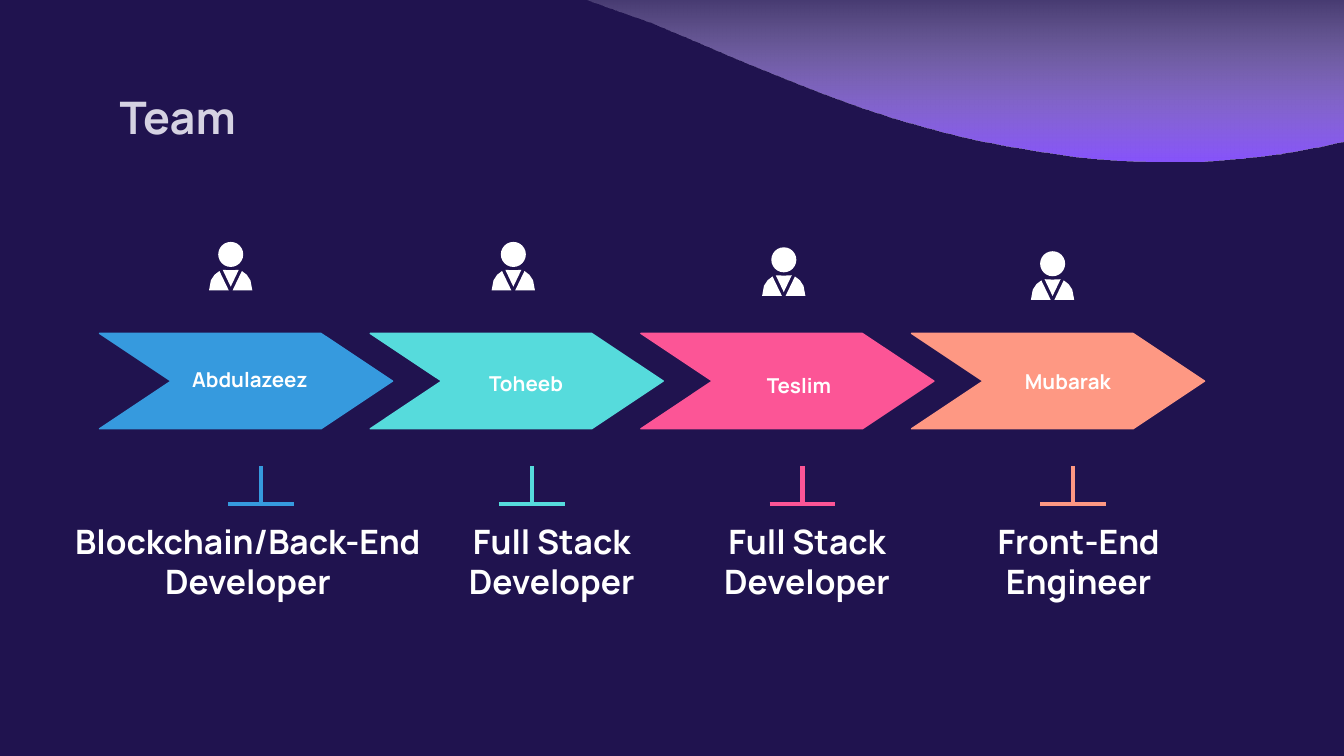
from lxml.etree import SubElement
from pptx import Presentation
from pptx.dml.color import RGBColor
from pptx.enum.shapes import MSO_CONNECTOR as Line, MSO_SHAPE as Shape
from pptx.enum.text import MSO_ANCHOR as Anchor, PP_ALIGN as Align
from pptx.oxml.ns import qn
from pptx.util import Pt


def paint(fill, color):
    fill.solid()
    fill.fore_color.rgb = RGBColor.from_string(color)


def write(box, place, text, size, color, align, anchor):
    """Place a text shape and fill it with one formatted paragraph."""
    box.left, box.top, box.width, box.height = map(Pt, place)
    frame = box.text_frame
    frame.word_wrap = True
    frame.vertical_anchor = anchor
    frame.margin_left = frame.margin_right = Pt(7.2)
    frame.margin_top = frame.margin_bottom = Pt(7.2)
    frame.text = text
    para = frame.paragraphs[0]
    para.alignment = align
    font = para.runs[0].font
    font.name, font.size, font.bold = "Manrope", Pt(size), True
    font.color.rgb = RGBColor.from_string(color)


WHITE = "FFFFFF"

prs = Presentation()
prs.slide_width, prs.slide_height = Pt(720), Pt(405)
slide = prs.slides.add_slide(prs.slide_layouts[5])
shapes = slide.shapes
paint(slide.background.fill, "20134F")

# Wave in the top right corner, fading upwards
crest = [
    (210.2, -20.9), (210.2, -7.9), (245.5, -11.5), (277.9, -8.6),
    (296.6, -4.3), (312.5, -0.7), (330.5, 5.8), (348.5, 12.2),
    (370, 20.9), (398.2, 33.1), (419.8, 41.8), (439.9, 49.7),
    (460, 56.9), (479.5, 63.4), (500.4, 69.1), (520.6, 74.2),
    (540.7, 78), (561.6, 81.5), (582.5, 84.2), (603.4, 85.8),
    (624.2, 86.4), (645.1, 86.1), (666, 84.5), (686.2, 82.1),
    (706.3, 78.6), (726.5, 74.2), (745.9, 68.4), (765.4, 61.2),
    (784.8, 53.6), (803.5, 44.6), (803.5, -20.9),
]
crest = [(Pt(x), Pt(y)) for x, y in crest]
pen = shapes.build_freeform(*crest[0])
pen.add_line_segments(crest[1:])
wave = pen.convert_to_shape()
wave.shadow.inherit = False
wave.line.fill.background()
wave.fill.gradient()
wave.fill.gradient_angle = 270
for stop, color in zip(wave.fill.gradient_stops, (WHITE, "8854FD")):
    stop.color.rgb = RGBColor.from_string(color)
clear = next(wave._element.iter(qn("a:srgbClr")))
SubElement(clear, qn("a:alpha")).set("val", "0")

write(shapes.title, (56.9, 42.5, 606.2, 39.6), "Team", 24, "D5D2E2",
      Align.LEFT, Anchor.MIDDLE)

# Color, name, name box, role, role left and width, icon center and top
team = [
    ("369ADE", "Abdulazeez", (90, 190.1, 87.8, 39.6),
     "Blockchain/Back-End Developer", 23, 219.6, 123.6, 129.6),
    ("56DBDC", "Toheeb", (242.6, 192.2, 78.5, 28.8),
     "Full Stack Developer", 220.3, 150.5, 275, 129.6),
    ("FC5596", "Teslim", (385.2, 193.7, 85.7, 13),
     "Full Stack Developer", 357.1, 150.5, 419.9, 132.5),
    ("FE9883", "Mubarak", (535, 191.5, 74.2, 13),
     "Front-End Engineer", 502.6, 150.5, 563.9, 134.6),
]

# Person outlines, measured from the top center of the head
coat = [(-6, 15.6), (-8.6, 17.6), (-10.6, 20.6), (-11.6, 26), (-1, 26)]
shirt = [(-4.3, 15), (0, 24), (4.3, 15), (0, 15.2)]
body = [coat, [(-x, y) for x, y in coat], shirt]

for i, (color, name, place, role, left, width, mid, top) in enumerate(team):
    start = 53.3 + 145 * i
    arrow = shapes.add_shape(Shape.CHEVRON, Pt(start), Pt(178.6),
                             Pt(157), Pt(51.1))
    arrow.adjustments[0] = 0.75
    arrow.shadow.inherit = False
    paint(arrow.fill, color)
    paint(arrow.line.fill, color)
    arrow.line.width = Pt(0.75)

    stem = start + 86.6
    for ends in ((stem, 249.8, stem, 270),
                 (stem - 17.6, 270, stem + 17.6, 270)):
        bar = shapes.add_connector(Line.STRAIGHT, *map(Pt, ends))
        paint(bar.line.fill, color)
        bar.line.width = Pt(2.25)
        SubElement(bar._element.spPr, qn("a:effectLst"))

    write(shapes.add_textbox(0, 0, 0, 0), place, name, 11, WHITE,
          Align.CENTER, Anchor.TOP)
    write(shapes.add_textbox(0, 0, 0, 0), (left, 286.6, width, 28), role,
          18, WHITE, Align.CENTER, Anchor.MIDDLE)

    icon = shapes.add_group_shape().shapes
    parts = [icon.add_shape(Shape.OVAL, Pt(mid - 6.7), Pt(top),
                            Pt(13.4), Pt(13.4))]
    for outline in body:
        spots = [(Pt(mid + x), Pt(top + y)) for x, y in outline]
        pen = icon.build_freeform(*spots[0])
        pen.add_line_segments(spots[1:])
        parts.append(pen.convert_to_shape())
    for part in parts:
        part.shadow.inherit = False
        paint(part.fill, WHITE)
        part.line.fill.background()

prs.save("out.pptx")
